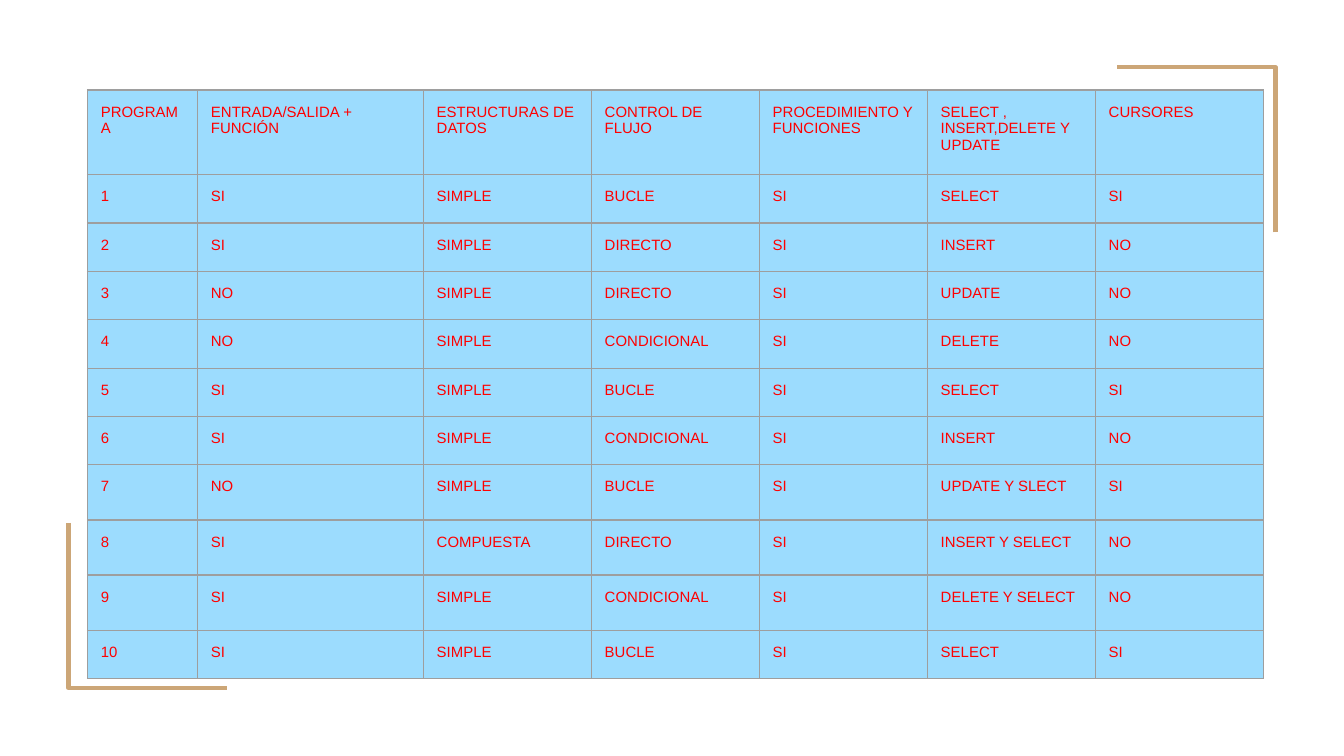
from dataclasses import dataclass

from lxml import etree
from pptx import Presentation
from pptx import util as u
from pptx.dml.color import RGBColor
from pptx.oxml import ns


@dataclass(frozen=True)
class Theme:
    font: str = "Arial"
    text_size: float = 8
    text: str = "FF0000"
    cell: str = "9CDCFE"
    border: str = "9E9E9E"
    border_width: float = 0.75
    bracket: str = "CCA677"
    bracket_width: float = 2.25


THEME = Theme()

SLIDE_WIDTH = 10
SLIDE_HEIGHT = SLIDE_WIDTH * 9 / 16
COLUMN_WIDTHS = [0.82, 1.68] + [1.25] * 5
ROW_HEIGHTS = [0.63] + [0.36] * 6 + [0.41] * 3 + [0.36]

HEADER = ["PROGRAMA", "ENTRADA/SALIDA + FUNCIÓN", "ESTRUCTURAS DE DATOS",
          "CONTROL DE FLUJO", "PROCEDIMIENTO Y FUNCIONES",
          "SELECT , INSERT,DELETE Y UPDATE", "CURSORES"]
PROGRAMS = [
    ["SI", "SIMPLE", "BUCLE", "SI", "SELECT", "SI"],
    ["SI", "SIMPLE", "DIRECTO", "SI", "INSERT", "NO"],
    ["NO", "SIMPLE", "DIRECTO", "SI", "UPDATE", "NO"],
    ["NO", "SIMPLE", "CONDICIONAL", "SI", "DELETE", "NO"],
    ["SI", "SIMPLE", "BUCLE", "SI", "SELECT", "SI"],
    ["SI", "SIMPLE", "CONDICIONAL", "SI", "INSERT", "NO"],
    ["NO", "SIMPLE", "BUCLE", "SI", "UPDATE Y SLECT", "SI"],
    ["SI", "COMPUESTA", "DIRECTO", "SI", "INSERT Y SELECT", "NO"],
    ["SI", "SIMPLE", "CONDICIONAL", "SI", "DELETE Y SELECT", "NO"],
    ["SI", "SIMPLE", "BUCLE", "SI", "SELECT", "SI"],
]


def add_bracket(s, start, corner, end):
    points = [(u.Inches(x), u.Inches(y)) for x, y in (start, corner, end)]
    builder = s.shapes.build_freeform(*points[0])
    builder.add_line_segments(points[1:], close=False)
    sp = builder.convert_to_shape()
    sp.shadow.inherit = False
    sp.fill.background()
    sp.line.color.rgb = RGBColor.from_string(THEME.bracket)
    sp.line.width = u.Pt(THEME.bracket_width)


def set_borders(cell):
    tc_pr = cell._tc.get_or_add_tcPr()
    for side in ("lnL", "lnR", "lnT", "lnB"):
        ln = etree.SubElement(tc_pr, ns.qn(f"a:{side}"),
                              w=str(u.Pt(THEME.border_width)))
        fill = etree.SubElement(ln, ns.qn("a:solidFill"))
        etree.SubElement(fill, ns.qn("a:srgbClr"), val=THEME.border)


def format_cell(cell, words):
    set_borders(cell)
    cell.fill.solid()
    cell.fill.fore_color.rgb = RGBColor.from_string(THEME.cell)
    cell.margin_left = cell.margin_right = u.Inches(0.1)
    cell.margin_top = cell.margin_bottom = u.Inches(0.1)
    cell.text = words
    font = cell.text_frame.paragraphs[0].font
    font.name = THEME.font
    font.size = u.Pt(THEME.text_size)
    font.color.rgb = RGBColor.from_string(THEME.text)


def add_grid(s, left, top, rows):
    table = s.shapes.add_table(
        len(ROW_HEIGHTS), len(COLUMN_WIDTHS), u.Inches(left), u.Inches(top),
        u.Inches(sum(COLUMN_WIDTHS)), u.Inches(sum(ROW_HEIGHTS))).table
    table.first_row = table.horz_banding = False
    for column, width in zip(table.columns, COLUMN_WIDTHS):
        column.width = u.Inches(width)
    for row, height, values in zip(table.rows, ROW_HEIGHTS, rows):
        row.height = u.Inches(height)
        for cell, words in zip(row.cells, values):
            format_cell(cell, words)


def main():
    prs = Presentation()
    prs.slide_width = u.Inches(SLIDE_WIDTH)
    prs.slide_height = u.Inches(SLIDE_HEIGHT)
    s = prs.slides.add_slide(prs.slide_layouts[6])
    add_bracket(s, (9.49, 1.73), (9.49, 0.5), (8.31, 0.5))
    add_bracket(s, (0.51, 3.89), (0.51, 5.12), (1.69, 5.12))
    numbered = [[str(n), *values] for n, values in enumerate(PROGRAMS, 1)]
    add_grid(s, 0.65, 0.67, [HEADER, *numbered])
    prs.save("out.pptx")


if __name__ == "__main__":
    main()
